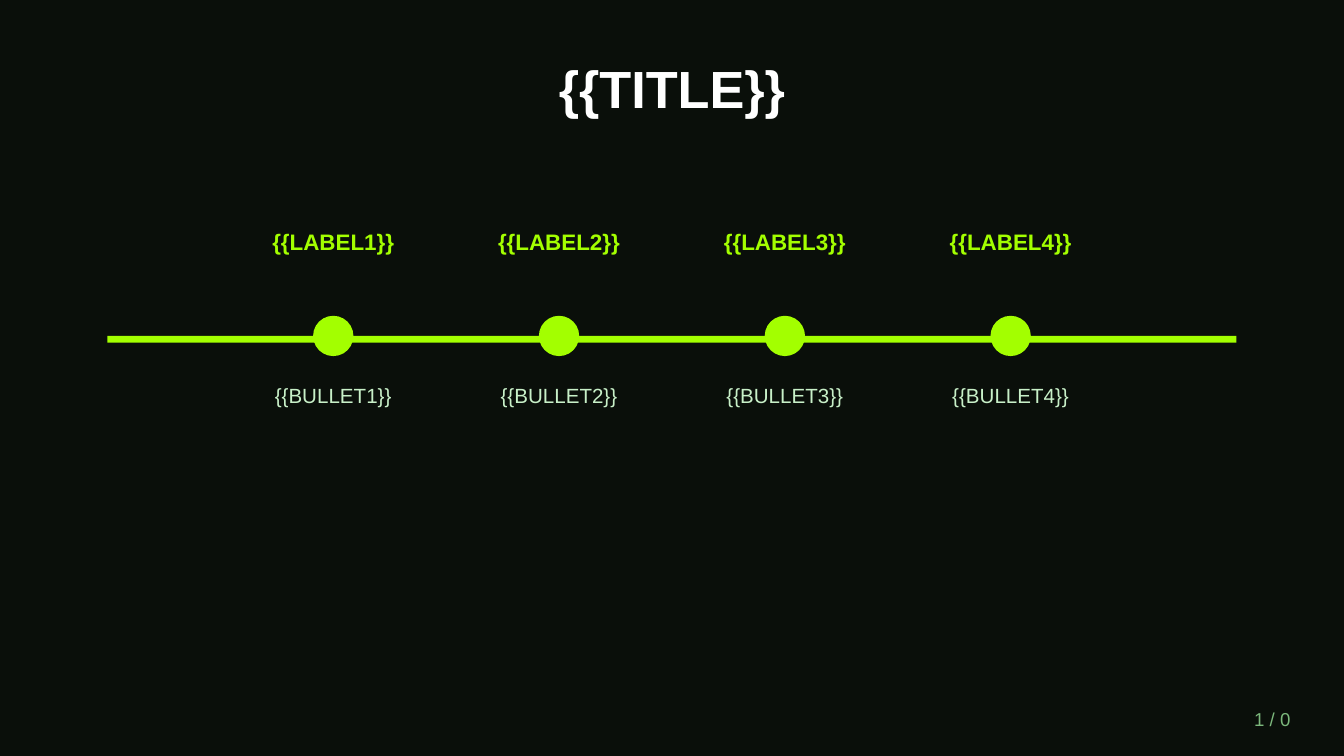
import dataclasses

import pptx
import pptx.dml.color
import pptx.enum.shapes
import pptx.enum.text
import pptx.util

SHAPES = pptx.enum.shapes.MSO_SHAPE
ALIGN = pptx.enum.text.PP_ALIGN
ANCHOR = pptx.enum.text.MSO_ANCHOR

SLIDE_WIDTH = 10
SLIDE_HEIGHT = SLIDE_WIDTH * 9 / 16
AXIS_LEFT, AXIS_TOP, AXIS_HEIGHT = 0.8, 2.5, 0.05
AXIS_WIDTH = SLIDE_WIDTH - 2 * AXIS_LEFT
MILESTONE_COUNT = 4
AXIS_STEP = AXIS_WIDTH / (MILESTONE_COUNT + 1)
DOT_SIZE = 0.3
CAPTION_WIDTH = 2

BACKGROUND = "0A0F0A"
ACCENT = "A3FF00"


@dataclasses.dataclass(frozen=True)
class Box:
    """A rectangle on the slide, in inches."""
    left: float
    top: float
    width: float
    height: float

    def emu(self) -> tuple:
        """Return the four lengths as python-pptx units."""
        return tuple(pptx.util.Inches(length) for length in dataclasses.astuple(self))


@dataclasses.dataclass(frozen=True)
class TextStyle:
    """The look of one text."""
    size: float
    color: str
    bold: bool = False
    align: ALIGN = ALIGN.CENTER
    anchor: ANCHOR = ANCHOR.MIDDLE


@dataclasses.dataclass(frozen=True)
class Milestone:
    """One step on the timeline."""
    column: int
    label: str
    bullet: str


TITLE = TextStyle(28, "FFFFFF", bold=True)
LABEL = TextStyle(12, ACCENT, bold=True)
BULLET = TextStyle(11, "C8F0C8", anchor=ANCHOR.TOP)
PAGE_NUMBER = TextStyle(10, "7CB87C", align=ALIGN.RIGHT)

MILESTONES = [
    Milestone(column, f"{{{{LABEL{column}}}}}", f"{{{{BULLET{column}}}}}")
    for column in range(1, MILESTONE_COUNT + 1)
]


def rgb(value: str) -> pptx.dml.color.RGBColor:
    """Turn a hex string into a colour."""
    return pptx.dml.color.RGBColor.from_string(value)


def write(holder, text: str, style: TextStyle) -> None:
    """Set and format the text of a box or placeholder."""
    frame = holder.text_frame
    frame.text = text
    frame.word_wrap = True
    frame.auto_size = pptx.enum.text.MSO_AUTO_SIZE.NONE
    frame.vertical_anchor = style.anchor
    paragraph = frame.paragraphs[0]
    paragraph.alignment = style.align
    for run in paragraph.runs:
        run.font.name = "Arial"
        run.font.size = pptx.util.Pt(style.size)
        run.font.bold = style.bold
        run.font.color.rgb = rgb(style.color)


def add_text(slide, box: Box, text: str, style: TextStyle) -> None:
    """Add a text box."""
    write(slide.shapes.add_textbox(*box.emu()), text, style)


def add_filled(slide, kind: SHAPES, box: Box) -> None:
    """Add a plain shape in the accent colour."""
    shape = slide.shapes.add_shape(kind, *box.emu())
    shape.shadow.inherit = False
    shape.fill.solid()
    shape.fill.fore_color.rgb = rgb(ACCENT)
    shape.line.fill.background()


def add_milestone(slide, milestone: Milestone) -> None:
    """Draw the dot, label and bullet of one milestone."""
    center = AXIS_LEFT + milestone.column * AXIS_STEP
    caption_left = center - CAPTION_WIDTH / 2
    dot = Box(center - DOT_SIZE / 2, AXIS_TOP - DOT_SIZE / 2, DOT_SIZE, DOT_SIZE)
    add_filled(slide, SHAPES.OVAL, dot)
    add_text(slide, Box(caption_left, AXIS_TOP - 1, CAPTION_WIDTH, 0.6), milestone.label, LABEL)
    add_text(slide, Box(caption_left, AXIS_TOP + 0.3, CAPTION_WIDTH, 1.5), milestone.bullet, BULLET)


def main() -> None:
    """Build and save the timeline slide."""
    deck = pptx.Presentation()
    deck.slide_width = pptx.util.Inches(SLIDE_WIDTH)
    deck.slide_height = pptx.util.Inches(SLIDE_HEIGHT)
    slide = deck.slides.add_slide(deck.slide_layouts.get_by_name("Title Only"))
    slide.background.fill.solid()
    slide.background.fill.fore_color.rgb = rgb(BACKGROUND)

    title = slide.shapes.title
    title.left, title.top, title.width, title.height = Box(0.5, 0.3, 9, 0.7).emu()
    write(title, "{{TITLE}}", TITLE)

    add_filled(slide, SHAPES.RECTANGLE, Box(AXIS_LEFT, AXIS_TOP, AXIS_WIDTH, AXIS_HEIGHT))
    for milestone in MILESTONES:
        add_milestone(slide, milestone)
    add_text(slide, Box(8.5, 5.2, 1.2, 0.3), "1 / 0", PAGE_NUMBER)
    deck.save("out.pptx")


if __name__ == "__main__":
    main()
